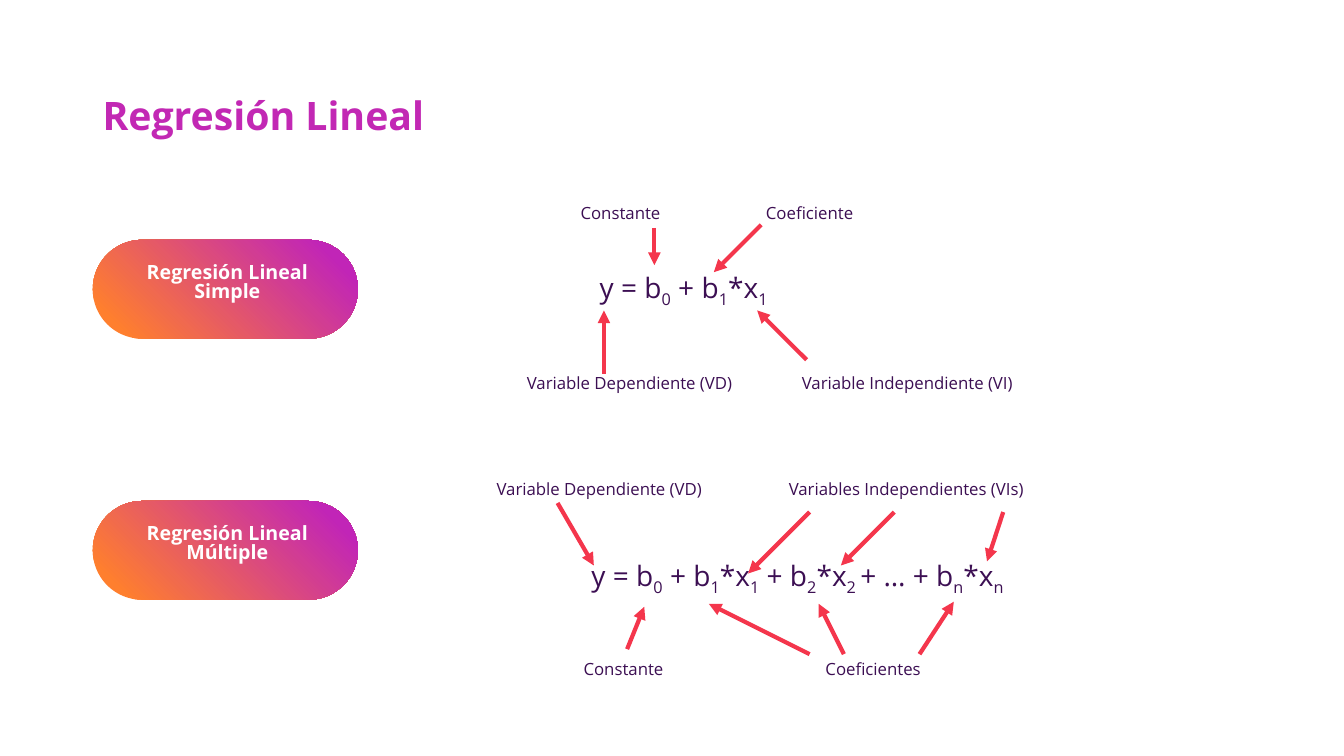
from dataclasses import dataclass

from lxml.etree import SubElement
from pptx import Presentation
from pptx.dml.color import RGBColor
from pptx.enum.shapes import MSO_CONNECTOR, MSO_SHAPE
from pptx.enum.text import MSO_ANCHOR, PP_ALIGN
from pptx.oxml.ns import qn
from pptx.util import Inches, Pt

FONT = "Open Sans"
MAGENTA, PURPLE, RED, WHITE = "C228B4", "3C0F53", "F4364C", "FFFFFF"
STOPS = [("FF7F2E", 0.1), ("C125B7", 0.89)]


@dataclass
class Label:
    text: str
    left: float
    top: float
    width: float


@dataclass
class Arrow:
    x1: float
    y1: float
    x2: float
    y2: float


@dataclass
class Model:
    name: str
    top: float
    formula: Label  # "|" switches between normal and subscript text
    arrows: list[Arrow]
    labels: list[Label]


MODELS = [
    Model(
        "Regresión Lineal Simple", 2.38,
        Label("y = b|0| + b|1|*x|1", 5.49, 2.63, 2.58),
        [Arrow(5.99, 3.71, 5.99, 3.08), Arrow(8, 3.57, 7.51, 3.08),
         Arrow(7.55, 2.23, 7.08, 2.7), Arrow(6.49, 2.26, 6.49, 2.63)],
        [Label("Constante", 5.07, 1.96, 2.17),
         Label("Coeficiente", 7.24, 1.96, 1.58),
         Label("Variable Dependiente (VD)", 4.87, 3.65, 2.75),
         Label("Variable Independiente (VI)", 7.54, 3.65, 2.92)],
    ),
    Model(
        "Regresión Lineal Múltiple", 4.97,
        Label("y = b|0| + b|1|*x|1| + b|2|*x|2 |+ … + b|n|*x|n", 4.87, 5.49, 6.08),
        [Arrow(5.53, 4.99, 5.89, 5.61), Arrow(8.03, 5.08, 7.42, 5.69),
         Arrow(8.87, 5.08, 8.34, 5.61), Arrow(9.95, 5.08, 9.79, 5.57),
         Arrow(6.22, 6.44, 6.39, 6.02), Arrow(8.03, 6.49, 7.03, 5.99),
         Arrow(8.37, 6.49, 8.12, 5.99), Arrow(9.12, 6.49, 9.46, 5.97)],
        [Label("Variable Dependiente (VD)", 4.57, 4.7, 2.75),
         Label("Variables Independientes (VIs)", 7.53, 4.7, 2.92),
         Label("Constante", 5.1, 6.49, 2.17),
         Label("Coeficientes", 7.87, 6.49, 1.58)],
    ),
]

deck = Presentation()
deck.slide_width, deck.slide_height = Inches(13.33), Inches(7.5)
slide = deck.slides.add_slide(deck.slide_layouts[6])


def color(code: str) -> RGBColor:
    return RGBColor.from_string(code)


def add_text(label: Label, height: float, size: float, code: str,
             bold: bool = False, inset: float = 0.05, spacing: float = 1.0,
             align: PP_ALIGN = PP_ALIGN.CENTER,
             anchor: MSO_ANCHOR = MSO_ANCHOR.TOP) -> None:
    box = slide.shapes.add_textbox(Inches(label.left), Inches(label.top),
                                   Inches(label.width), Inches(height))
    frame = box.text_frame
    frame.word_wrap = True
    frame.vertical_anchor = anchor
    frame.margin_left = frame.margin_right = Inches(inset)
    frame.margin_top = frame.margin_bottom = Inches(0.05)
    line = frame.paragraphs[0]
    line.alignment = align
    line.line_spacing = spacing
    for index, part in enumerate(label.text.split("|")):
        run = line.add_run()
        run.text = part
        run.font.name, run.font.size, run.font.bold = FONT, Pt(size), bold
        run.font.color.rgb = color(code)
        if index % 2:
            run.font._element.set("baseline", "-25000")


def add_pill(name: str, top: float) -> None:
    pill = slide.shapes.add_shape(MSO_SHAPE.ROUNDED_RECTANGLE, Inches(0.92),
                                  Inches(top), Inches(2.63), Inches(0.98))
    pill.adjustments[0] = 0.5
    pill.shadow.inherit = False
    pill.line.fill.background()
    pill.fill.gradient()
    pill.fill.gradient_angle = 45
    for stop, (code, place) in zip(pill.fill.gradient_stops, STOPS):
        stop.color.rgb = color(code)
        stop.position = place
    add_text(Label(name, 1.08, top + 0.19, 2.35), 0.44, 14, WHITE,
             bold=True, inset=0.1, spacing=0.81)


def add_arrow(arrow: Arrow) -> None:
    line = slide.shapes.add_connector(
        MSO_CONNECTOR.STRAIGHT, Inches(arrow.x1), Inches(arrow.y1),
        Inches(arrow.x2), Inches(arrow.y2))
    line.line.color.rgb = color(RED)
    line.line.width = Pt(3)
    SubElement(line.line._get_or_add_ln(), qn("a:tailEnd"), type="triangle")
    SubElement(line._element.spPr, qn("a:effectLst"))


# Title
add_text(Label("Regresión Lineal", 0.92, 0.71, 11.5), 0.91, 28, MAGENTA,
         bold=True, inset=0.1, spacing=0.9, align=PP_ALIGN.LEFT,
         anchor=MSO_ANCHOR.MIDDLE)

# Each model: pill, formula, arrows and labels
for model in MODELS:
    add_pill(model.name, model.top)
    add_text(model.formula, 0.44, 20, PURPLE)
    for arrow in model.arrows:
        add_arrow(arrow)
    for label in model.labels:
        add_text(label, 0.3, 12, PURPLE)

deck.save("out.pptx")
